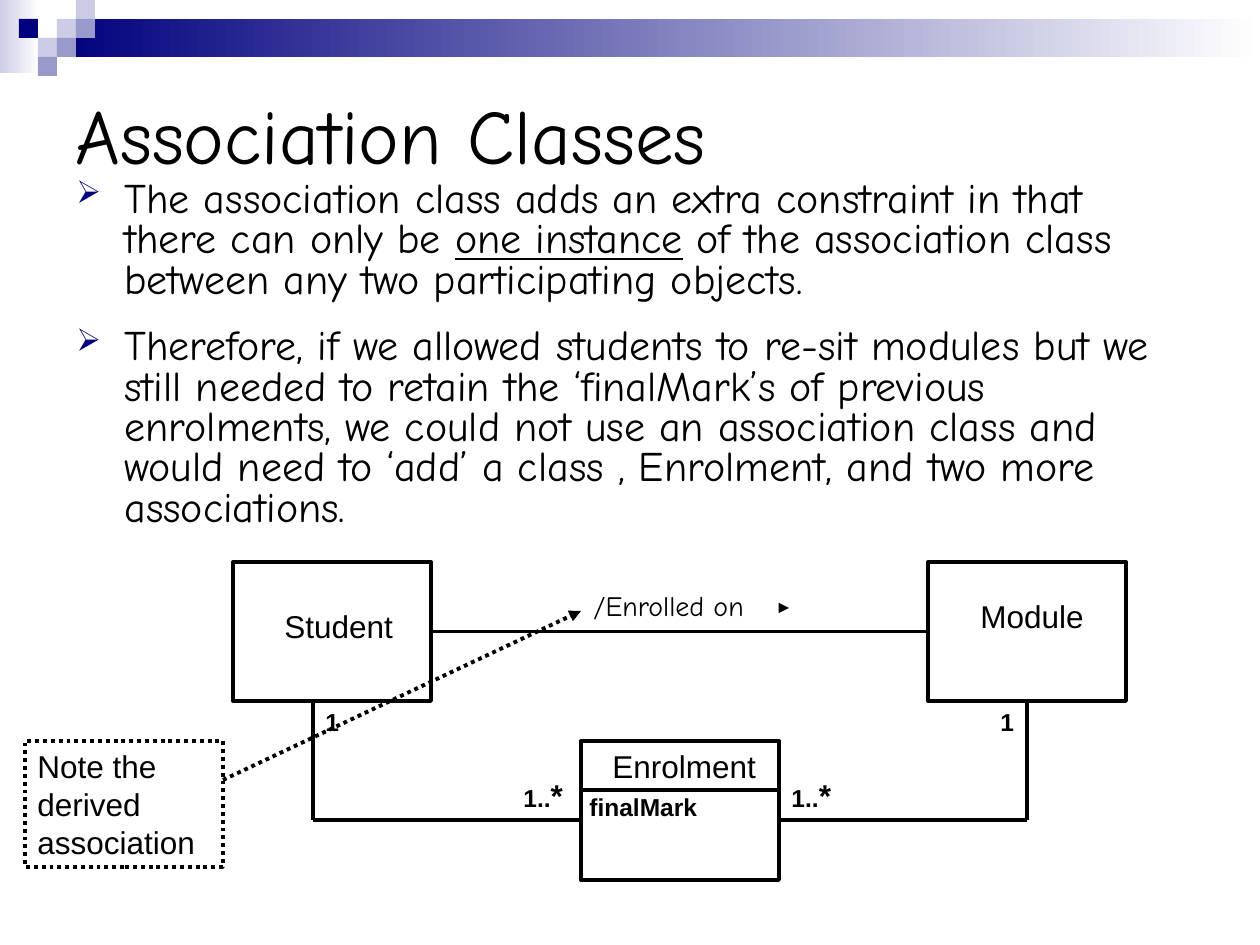
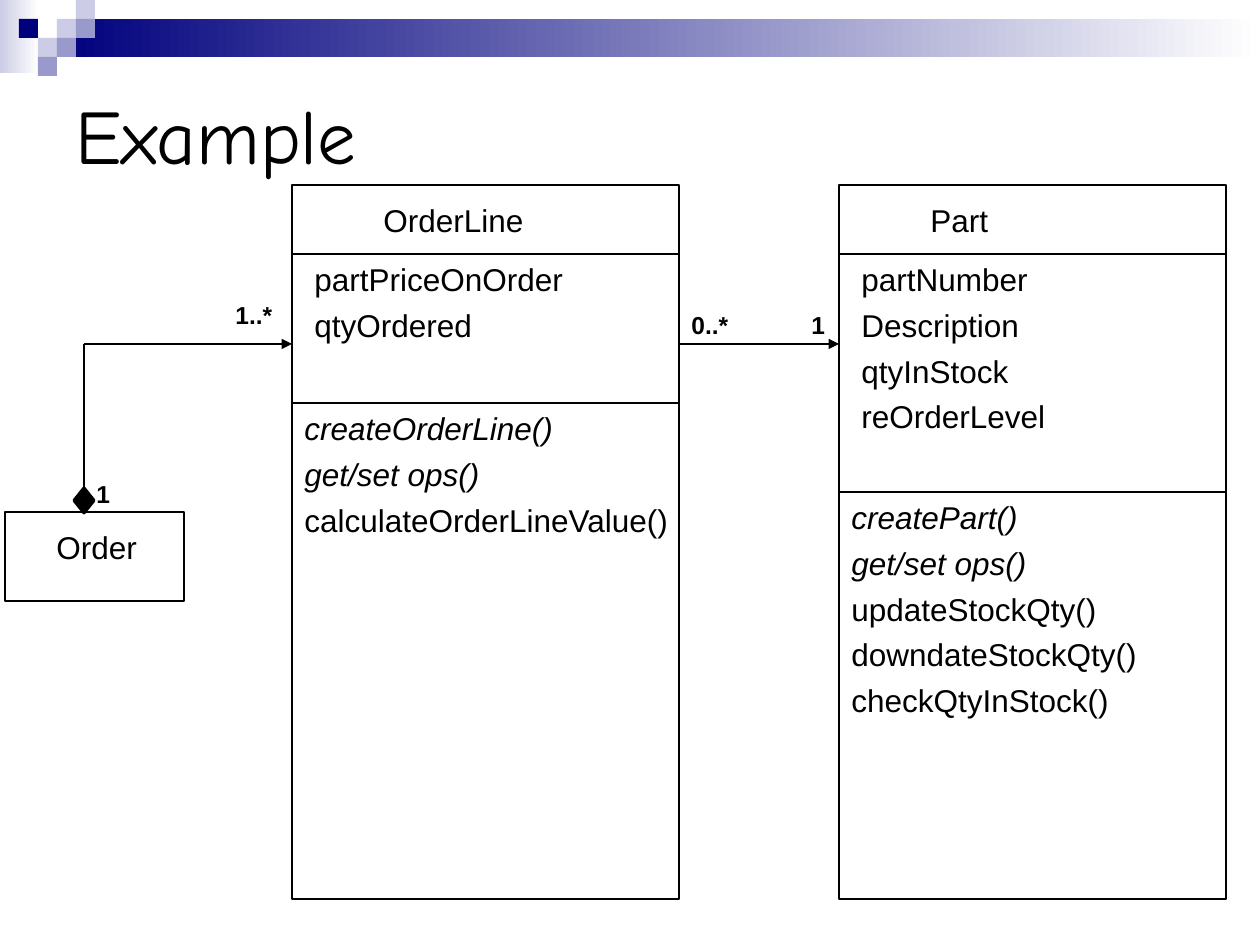
from lxml.etree import SubElement
from pptx import Presentation
from pptx.dml.color import RGBColor
from pptx.enum.dml import MSO_LINE
from pptx.enum.shapes import MSO_CONNECTOR, MSO_SHAPE
from pptx.enum.text import MSO_ANCHOR, PP_ALIGN
from pptx.oxml.ns import qn
from pptx.util import Emu, Pt

PX_PER_INCH = 126
COLOURS = {
    "ink": "000000",
    "navy": "00007D",
    "lavender": "9999CC",
    "pale": "CCCCE6",
    "white": "FFFFFF",
}
HEADING_FONT = "Comic Neue"
LABEL_FONT = "Arial"
TOP, BOTTOM, RIGHT = 0, 2, 3

CELL = 19
MOSAIC = [  # column, row, colour
    (3, 1, "pale"), (4, 0, "pale"), (4, 1, "lavender"), (2, 2, "pale"),
    (1, 1, "navy"), (3, 2, "lavender"), (2, 3, "lavender"),
]


def px(length):
    return Emu(round(length * 914400 / PX_PER_INCH))


def colour(name):
    return RGBColor.from_string(COLOURS[name])


def add_block(slide, box, fill=None, shape_type=MSO_SHAPE.RECTANGLE):
    shape = slide.shapes.add_shape(shape_type, *map(px, box))
    shape.shadow.inherit = False
    shape.line.fill.background()
    if fill:
        shape.fill.solid()
        shape.fill.fore_color.rgb = colour(fill)
    else:
        shape.fill.background()
    return shape


def add_fading_block(slide, box, start):
    """Add a block that fades from the start colour to white, left to right."""
    fill = add_block(slide, box).fill
    fill.gradient()
    fill.gradient_angle = 0
    for stop, name in zip(fill.gradient_stops, (start, "white")):
        stop.color.rgb = colour(name)


def style_line(line, weight, dotted=False):
    line.color.rgb = colour("ink")
    line.width = Pt(weight)
    if dotted:
        line.dash_style = MSO_LINE.ROUND_DOT


def add_outline(slide, box, weight, dotted=False):
    shape = add_block(slide, box)
    style_line(shape.line, weight, dotted)
    return shape


def add_line(slide, start, end, weight, arrow=False, dotted=False):
    connector = slide.shapes.add_connector(
        MSO_CONNECTOR.STRAIGHT, *map(px, (*start, *end)))
    style_line(connector.line, weight, dotted)
    properties = connector._element.spPr
    if arrow:
        SubElement(properties.find(qn("a:ln")), qn("a:tailEnd"), type="triangle")
    SubElement(properties, qn("a:effectLst"))
    return connector


def write(frame, texts, size=18, font=LABEL_FONT, bold=False, gap=0):
    """Fill a text frame with one paragraph per text and return the paragraphs."""
    frame.word_wrap = True
    for index, text in enumerate(texts):
        paragraph = frame.paragraphs[0] if index == 0 else frame.add_paragraph()
        paragraph.add_run().text = text
        paragraph.alignment = PP_ALIGN.LEFT
        paragraph.space_before = Pt(gap)
        paragraph.font.size = Pt(size)
        paragraph.font.name = font
        paragraph.font.bold = bold
        paragraph.font.color.rgb = colour("ink")
    return frame.paragraphs


def add_text(slide, box, texts, **style):
    frame = slide.shapes.add_textbox(*map(px, box)).text_frame
    return write(frame, texts, **style)


def add_multiplicity(slide, left, top, text, large_star=False):
    paragraph, = add_text(slide, (left, top, 70, 43), [text], size=14, bold=True)
    if large_star:
        star = paragraph.add_run()
        star.text = "*"
        star.font.size = Pt(18)


def add_bullet(paragraph):
    properties = paragraph._p.get_or_add_pPr()
    properties.set("marL", str(px(48)))
    properties.set("indent", str(-px(48)))
    bullet_colour = properties.makeelement(qn("a:buClr"))
    SubElement(bullet_colour, qn("a:srgbClr"), val=COLOURS["navy"])
    size = properties.makeelement(qn("a:buSzPct"), val="75000")
    character = properties.makeelement(qn("a:buChar"), char="➢")
    for element in (bullet_colour, size, character):
        properties.insert_element_before(element, "a:defRPr")


def add_titled_slide(presentation, title):
    slide = presentation.slides.add_slide(presentation.slide_layouts[6])
    add_fading_block(slide, (0, 0, 39, 73), "pale")
    add_fading_block(slide, (3 * CELL, CELL, 1260 - 3 * CELL, 2 * CELL), "navy")
    for column, row, fill in MOSAIC:
        add_block(slide, (column * CELL, row * CELL, CELL, CELL), fill)
    box = slide.shapes.add_textbox(*map(px, (63, 63, 1134, 141)))
    box.text_frame.vertical_anchor = MSO_ANCHOR.MIDDLE
    write(box.text_frame, [title], size=44, font=HEADING_FONT)
    return slide


def add_constraint_bullets(slide):
    paragraphs = add_text(slide, (64, 175, 1134, 397), [
        "The association class adds an extra constraint in that there can only be ",
        "Therefore, if we allowed students to re-sit modules but we still needed "
        "to retain the ‘finalMark’s of previous enrolments, we could not use an "
        "association class and would need to ‘add’ a class , Enrolment, and two "
        "more associations.",
    ], size=24, font=HEADING_FONT, gap=15)
    emphasis = paragraphs[0].add_run()
    emphasis.text = "one instance"
    emphasis.font.underline = True
    paragraphs[0].add_run().text = (
        " of the association class between any two participating objects.")
    for paragraph in paragraphs:
        paragraph.line_spacing = 0.8
        add_bullet(paragraph)


def add_enrolment_diagram(slide):
    weight = 2.25
    student, module, _ = [
        add_outline(slide, (left, top, 198, 139), weight)
        for left, top in ((233, 562), (928, 562), (581, 741))]
    add_text(slide, (272, 601, 159, 50), ["Student"])
    add_text(slide, (968, 591, 140, 50), ["Module"])
    add_text(slide, (600, 741, 180, 50), ["Enrolment"])
    add_text(slide, (577, 786, 140, 43), ["finalMark"], size=14, bold=True)
    add_line(slide, (581, 790), (779, 790), weight)

    enrolled_on = add_line(slide, (431, 631), (928, 631), weight)
    enrolled_on.begin_connect(student, RIGHT)
    enrolled_on.end_connect(module, 1)
    add_text(slide, (581, 582, 198, 47), ["/Enrolled on"], size=16, font=HEADING_FONT)
    add_line(slide, (779, 608), (789, 608), 0.75, arrow=True)

    add_line(slide, (313, 701), (313, 820), weight)
    module_drop = add_line(slide, (1027, 701), (1027, 820), weight)
    module_drop.begin_connect(module, BOTTOM)
    add_line(slide, (313, 820), (581, 820), weight)
    add_line(slide, (779, 820), (1027, 820), weight)
    for left in (313, 988):
        add_multiplicity(slide, left, 701, "1")
    for left in (511, 779):
        add_multiplicity(slide, left, 770, "1..", large_star=True)

    note = add_outline(slide, (25, 741, 198, 126), weight, dotted=True)
    write(note.text_frame, ["Note the derived association"])
    add_line(slide, (223, 780), (581, 611), weight, arrow=True, dotted=True)


def add_class(slide, left, name, attributes, operations, operations_top):
    """Add a three-part class; its first two operations are in italics."""
    width = 387
    add_outline(slide, (left, 185, width, 714), 1.5)
    for top in (254, operations_top):
        add_line(slide, (left, top), (left + width, top), 1.5)
    add_text(slide, (left + 79, 195, 179, 50), [name])
    add_text(slide, (left + 10, 254, 358, 188), attributes, gap=4.5)
    paragraphs = add_text(
        slide, (left, operations_top, 397, 325), operations, gap=4.5)
    for paragraph in paragraphs[:2]:
        paragraph.font.italic = True


def add_order_diagram(slide):
    add_class(slide, 292, "OrderLine", ["partPriceOnOrder", "qtyOrdered"],
              ["createOrderLine()", "get/set ops()", "calculateOrderLineValue()"],
              403)
    add_class(slide, 839, "Part",
              ["partNumber", "Description", "qtyInStock", "reOrderLevel"],
              ["createPart()", "get/set ops()", "updateStockQty()",
               "downdateStockQty()", "checkQtyInStock()"], 492)
    add_outline(slide, (5, 512, 179, 89), 1.5)
    add_text(slide, (44, 522, 179, 50), ["Order"])

    diamond = add_block(slide, (74, 488, 20, 25), "ink", MSO_SHAPE.DIAMOND)
    style_line(diamond.line, 1.75)
    composition = add_line(slide, (84, 344), (84, 513), 1.5)
    composition.end_connect(diamond, BOTTOM)
    add_line(slide, (84, 344), (292, 344), 1.5, arrow=True)
    add_line(slide, (679, 344), (839, 344), 1.5, arrow=True)
    for left, top, text in ((223, 294, "1..*"), (84, 473, "1"),
                            (679, 304, "0..*"), (799, 304, "1")):
        add_multiplicity(slide, left, top, text)


def main():
    presentation = Presentation()
    presentation.slide_width, presentation.slide_height = px(1260), px(945)

    association_slide = add_titled_slide(presentation, "Association Classes")
    add_constraint_bullets(association_slide)
    add_enrolment_diagram(association_slide)

    example_slide = add_titled_slide(presentation, "Example")
    add_order_diagram(example_slide)

    presentation.save("out.pptx")


if __name__ == "__main__":
    main()
